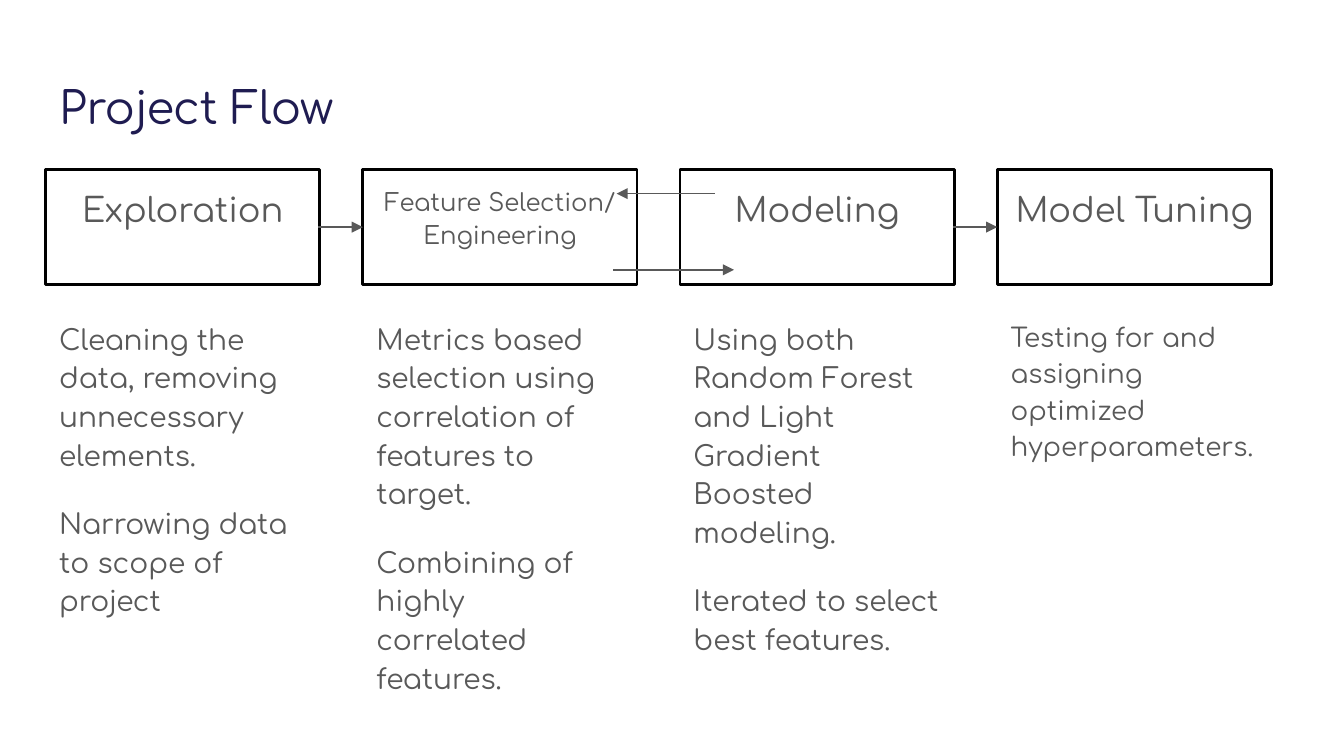
"""Builds the Project Flow slide: four linked stages with a note under each."""
import pptx
import pptx.dml.color
import pptx.enum.shapes
import pptx.enum.text
import pptx.oxml
import pptx.oxml.ns
import pptx.util

TITLE = "Project Flow"
STAGES = [
    {"head": "Exploration", "size": "head",
     "notes": ["Cleaning the data, removing unnecessary elements.",
               "Narrowing data to scope of project"], "type": "note"},
    {"head": "Feature Selection/ Engineering", "size": "long",
     "notes": ["Metrics based selection using correlation of features to target.",
               "Combining of highly correlated features."], "type": "note"},
    {"head": "Modeling", "size": "head",
     "notes": ["Using both Random Forest and Light Gradient Boosted modeling.",
               "Iterated to select best features."], "type": "note"},
    {"head": "Model Tuning", "size": "head",
     "notes": ["Testing for and assigning optimized hyperparameters."], "type": "last"},
]
ARROWS = [
    {"start": 0.86, "end": 1, "share": 0.5},
    {"start": 1.79, "end": 2.17, "share": 0.87},
    {"start": 2.11, "end": 1.8, "share": 0.21},
    {"start": 2.86, "end": 3, "share": 0.5},
]
THEME = {
    "font": "Comfortaa",
    "ink": {"title": "1F1C51", "text": "595959", "edge": "000000"},
    "size": {"title": 24, "head": 18, "long": 13, "note": 15, "last": 14},
    "line": {"box": 1.5, "arrow": 0.75},
}
GRID = {"left": 0.34, "pitch": 2.36, "width": 2.04}
ROWS = {"title": (0.49, 0.63), "head": (1.26, 0.86), "note": (2.26, 3.11)}

inch, pt = pptx.util.Inches, pptx.util.Pt
ALIGN = pptx.enum.text.PP_ALIGN


def tint(name):
    return pptx.dml.color.RGBColor.from_string(THEME["ink"][name])


def place(col, row, width=GRID["width"]):
    top, height = ROWS[row]
    return [inch(v) for v in (GRID["left"] + col * GRID["pitch"], top, width, height)]


def move(shape, area):
    shape.left, shape.top, shape.width, shape.height = area


def write(shape, texts, size, ink="text", align=ALIGN.LEFT, space=1.15, gap=16):
    frame = shape.text_frame
    frame.word_wrap = True
    frame.auto_size = pptx.enum.text.MSO_AUTO_SIZE.NONE
    frame.vertical_anchor = pptx.enum.text.MSO_ANCHOR.TOP
    frame.margin_left = frame.margin_right = inch(0.1)
    frame.margin_top = frame.margin_bottom = inch(0.1)
    for i, text in enumerate(texts):
        para = frame.paragraphs[0] if i == 0 else frame.add_paragraph()
        para.alignment, para.line_spacing = align, space
        para.space_before, para.space_after = pt(gap if i else 0), pt(0)
        props = para._p.get_or_add_pPr()
        props.set("marL", "0")
        props.set("indent", "0")
        props.append(props.makeelement(pptx.oxml.ns.qn("a:buNone"), {}))
        run = para.add_run()
        run.text = text
        run.font.name, run.font.bold = THEME["font"], False
        run.font.size = pt(THEME["size"][size])
        run.font.color.rgb = tint(ink)


def link(slide, start, end, share):
    top, height = ROWS["head"]
    y = inch(top + share * height)
    x1, x2 = (inch(GRID["left"] + c * GRID["pitch"]) for c in (start, end))
    arrow = slide.shapes.add_connector(
        pptx.enum.shapes.MSO_CONNECTOR.STRAIGHT, x1, y, x2, y)
    arrow.line.color.rgb = tint("text")
    arrow.line.width = pt(THEME["line"]["arrow"])
    props = arrow._element.spPr
    tail = props.makeelement(pptx.oxml.ns.qn("a:tailEnd"), {"type": "triangle"})
    props.find(pptx.oxml.ns.qn("a:ln")).append(tail)
    props.append(props.makeelement(pptx.oxml.ns.qn("a:effectLst"), {}))


def main():
    deck = pptx.Presentation()
    deck.slide_width = inch(10)
    deck.slide_height = deck.slide_width * 9 // 16
    layout = deck.slide_layouts.get_by_name("Comparison")
    slide = deck.slides.add_slide(layout)
    title, *bodies = list(slide.placeholders)[:5]
    move(title, place(0, "title", 9.32))
    write(title, [TITLE], "title", ink="title", space=1)
    for col, (stage, body) in enumerate(zip(STAGES, bodies)):
        box = slide.shapes.add_shape(
            pptx.enum.shapes.MSO_SHAPE.RECTANGLE, *place(col, "head"))
        box.shadow.inherit = False
        box.fill.background()
        box.line.color.rgb = tint("edge")
        box.line.width = pt(THEME["line"]["box"])
        write(box, [stage["head"]], stage["size"], align=ALIGN.CENTER)
        move(body, place(col, "note"))
        write(body, stage["notes"], stage["type"])
    for arrow in ARROWS:
        link(slide, **arrow)
    deck.save("out.pptx")


if __name__ == "__main__":
    main()
